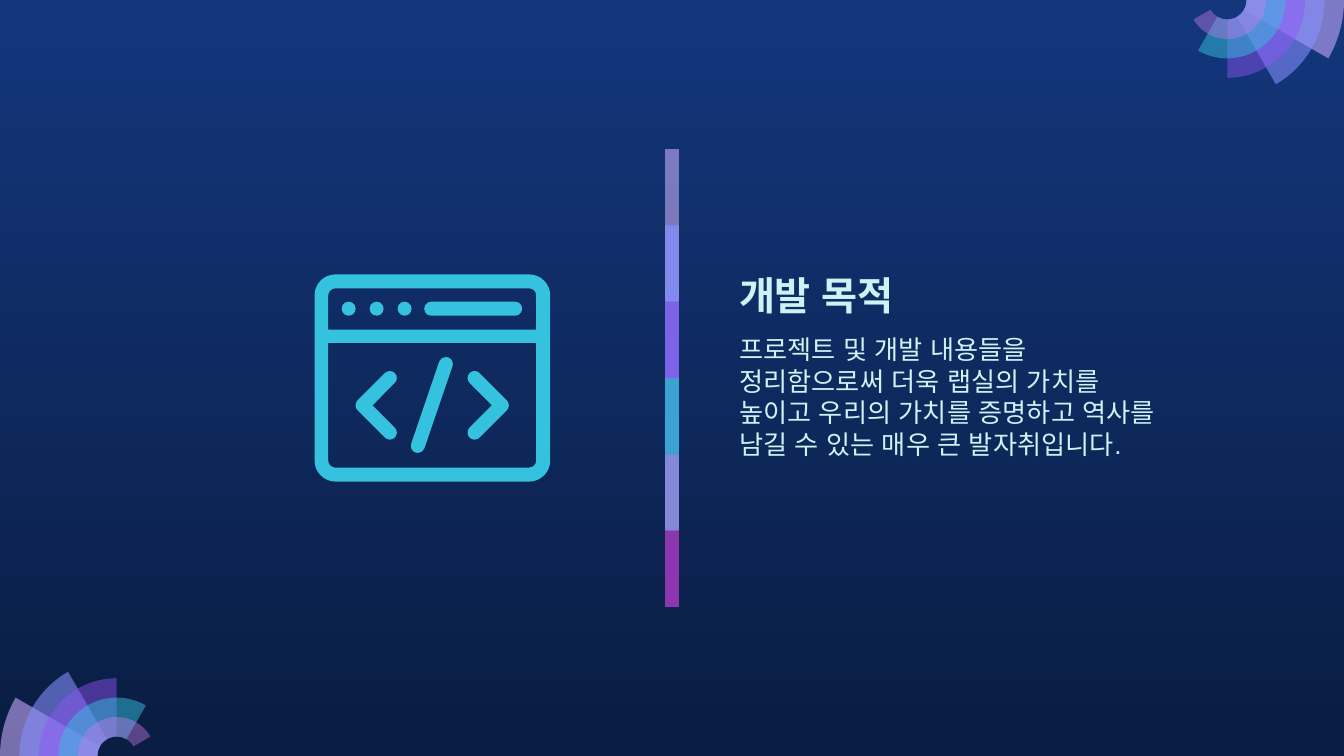
import math
from lxml import etree
from pptx import Presentation, util as u
from pptx.dml.color import RGBColor
from pptx.enum import shapes, text
from pptx.oxml import ns

COLUMNS, ROWS = 96, 54
STRIPES = [("C8AEF8", 59), ("878FFF", 74), ("9154F8", 53),
           ("35C2DF", 76), ("CA7BEB", 56), ("972CB4", 74)]
PETALS = [("C8ACFD", 58), ("878FFF", 58), ("9154F8", 46),
          ("35C2DF", 49), ("CA7BEB", 42)]
ICON = "35C2DF"
TEXT = "CEF3F5"
RING = 1.39


def color(value):
    return RGBColor.from_string(value)


def apply(target, values):
    for name, value in values.items():
        setattr(target, name, value)


def arc(center_x, center_y, radius, *angles):
    sweeps = [0] + [end - start for start, end in zip(angles, angles[1:])]
    return [(center_x + radius * math.cos(math.radians(angle)),
             center_y + radius * math.sin(math.radians(angle)), sweep)
            for angle, sweep in zip(angles, sweeps)]


def panel(left, top, right, bottom, upper, lower):
    corners = [(left + upper, top + upper, upper, 180),
               (right - upper, top + upper, upper, 270),
               (right - lower, bottom - lower, lower, 0),
               (left + lower, bottom - lower, lower, 90)]
    return [step for x, y, radius, start in corners
            for step in (arc(x, y, radius, start, start + 90) if radius else [(x, y, 0)])]


def chevron(base, middle, direction):
    outline = (arc(0, -1.95, 0.5, 135, 180, 270, 315) + arc(1.95, 0, 0.5, -45, 0, 45)
               + arc(0, 1.95, 0.5, 45, 90, 180, 225) + [(1.24, 0, 0)])
    return [(base + direction * x, middle + y, direction * sweep)
            for x, y, sweep in outline]


class Canvas:
    font = "Arial"
    inset = 0.94

    def __init__(self, presentation):
        self.slide = presentation.slides.add_slide(presentation.slide_layouts[6])
        self.column = presentation.slide_width / COLUMNS
        self.row = presentation.slide_height / ROWS

    def x(self, columns):
        return round(columns * self.column)

    def y(self, rows):
        return round(rows * self.row)

    def box(self, left, top, width, height):
        return self.x(left), self.y(top), self.x(width), self.y(height)

    def background(self, *stops):
        fill = self.slide.background.fill
        fill.gradient()
        fill.gradient_angle = 270
        for stop, value in zip(fill.gradient_stops, stops):
            stop.color.rgb = color(value)

    def paint(self, shape, value, opacity=100):
        shape.shadow.inherit = False
        shape.fill.solid()
        shape.fill.fore_color.rgb = color(value)
        shape.line.fill.background()
        if opacity < 100:
            tint = shape.fill._xPr.find(ns.qn("a:solidFill"))[0]
            etree.SubElement(tint, ns.qn("a:alpha")).set("val", str(opacity * 1000))

    def preset(self, kind, bounds, value, opacity=100, rounding=None):
        shape = self.slide.shapes.add_shape(kind, *self.box(*bounds))
        if rounding is not None:
            shape.adjustments[0] = rounding
        self.paint(shape, value, opacity)

    def outline(self, contours, value, opacity=100):
        scaled = [[(self.x(x), self.y(y), sweep) for x, y, sweep in contour]
                  for contour in contours]
        builder = self.slide.shapes.build_freeform(*scaled[0][0][:2], scale=1.0)
        for index, contour in enumerate(scaled):
            points = [step[:2] for step in contour]
            if index:
                builder.move_to(*points[0])
            builder.add_line_segments(points[1:], close=True)
        shape = builder.convert_to_shape()
        self.bend(shape, [step for contour in scaled for step in contour])
        self.paint(shape, value, opacity)

    def bend(self, shape, steps):
        points = list(shape._element.iter(ns.qn("a:pt")))
        for point, before, (x, y, sweep) in zip(points[1:], steps, steps[1:]):
            if not sweep:
                continue
            start, end = complex(*before[:2]), complex(x, y)
            half = math.radians(sweep / 2)
            reach = (end - start) * 2 / 3 * math.tan(half / 2) / math.sin(half)
            turn = complex(math.cos(half), math.sin(half))
            segment = point.getparent()
            segment.tag = ns.qn("a:cubicBezTo")
            for control in (end - reach * turn, start + reach / turn):
                handle = etree.Element(ns.qn("a:pt"))
                handle.set("x", str(round(control.real) - shape.left))
                handle.set("y", str(round(control.imag) - shape.top))
                segment.insert(0, handle)

    def fan(self, center_x, center_y, start):
        for index, petal in enumerate(PETALS):
            sweep = 30 * (index + 1)
            turns = [0, sweep] if sweep <= 90 else [0, 90, sweep]
            angles = [start + turn for turn in turns]
            rim = arc(center_x, center_y, RING * (6 - index), *angles)
            hub = arc(center_x, center_y, RING, *reversed(angles))
            self.outline([rim + hub], *petal)

    def label(self, content, bounds, size, bold, anchor):
        frame = self.slide.shapes.add_textbox(*self.box(*bounds)).text_frame
        margins = {f"margin_{side}": self.y(self.inset)
                   for side in ("left", "top", "right", "bottom")}
        apply(frame, {"word_wrap": True, "vertical_anchor": anchor, **margins})
        run = frame.paragraphs[0].add_run()
        run.text = content
        apply(run.font, {"name": self.font, "size": u.Pt(size), "bold": bold})
        run.font.color.rgb = color(TEXT)
        for script in ("a:ea", "a:cs"):
            etree.SubElement(run.font._element, ns.qn(script)).set("typeface", self.font)


presentation = Presentation()
apply(presentation, {"slide_width": u.Inches(13.33), "slide_height": u.Inches(7.5)})
canvas = Canvas(presentation)
kinds = shapes.MSO_SHAPE
canvas.background("13367C", "0A1D42")

stripe_height = 5.45
stripes_top = ROWS / 2 - 3 * stripe_height
for index, stripe in enumerate(STRIPES):
    span = min(2, len(STRIPES) - index)
    bounds = (47.5, stripes_top + index * stripe_height, 1, span * stripe_height)
    canvas.preset(kinds.RECTANGLE, bounds, *stripe)

canvas.label("개발 목적", (51.85, 13.5, 20, 10.2), 28, True, text.MSO_ANCHOR.BOTTOM)
canvas.label("프로젝트 및 개발 내용들을 정리함으로써 더욱 랩실의 가치를 "
             "높이고 우리의 가치를 증명하고 역사를 남길 수 있는 매우 큰 발자취입니다.",
             (51.85, 22.9, 32.2, 18.95), 18.7, False, text.MSO_ANCHOR.TOP)

canvas.outline([panel(22.47, 19.6, 39.3, 34.4, 1.5, 1.5),
                panel(23.45, 20.6, 38.3, 23.55, 0.5, 0),
                panel(23.45, 24.5, 38.3, 33.4, 0, 0.5)], ICON)
for index in range(3):
    canvas.preset(kinds.OVAL, (24.4 + 2 * index, 21.55, 1, 1), ICON)
canvas.preset(kinds.ROUNDED_RECTANGLE, (30.3, 21.55, 7, 1), ICON, rounding=0.5)
canvas.outline([chevron(33.9, 28.95, 1)], ICON)
canvas.outline([chevron(27.85, 28.95, -1)], ICON)
canvas.outline([arc(31.85, 26, 0.5, 199, 270, 360, 379)
                + arc(29.85, 31.85, 0.5, 19, 90, 180, 199)], ICON)

canvas.fan(6 * RING, ROWS, 180)
canvas.fan(COLUMNS - 6 * RING, 0, 0)

presentation.save("out.pptx")
